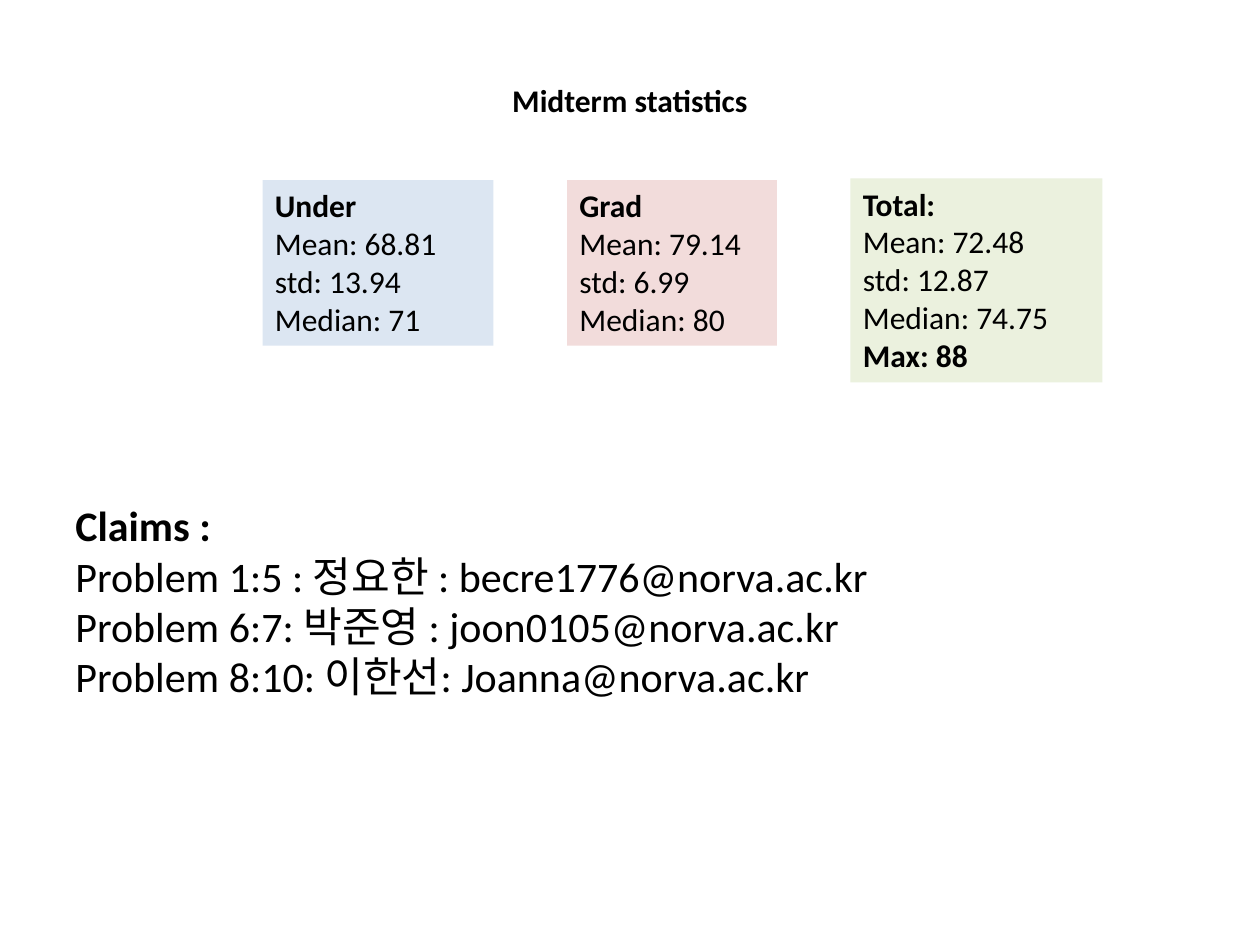
from pptx import Presentation
from pptx import util as u
from pptx.dml import color
from pptx.enum import shapes, text

HUES = {
    "ink": "000000",
    "blue": "DCE6F2",
    "rose": "F2DCDB",
    "green": "EBF1DE",
}

STATS = [
    ((150, 103, 132, 94.5), "blue",
     ["Under", "Mean: 68.81", "std: 13.94", "Median: 71"], {0}),
    ((324, 103, 120, 94.5), "rose",
     ["Grad", "Mean: 79.14", "std: 6.99", "Median: 80"], {0}),
    ((486, 102, 144, 116.5), "green",
     ["Total:", "Mean: 72.48", "std: 12.87", "Median: 74.75", "Max: 88"], {0, 4}),
]

CLAIMS = [
    "Claims :",
    "Problem 1:5 : 정요한 : becre1776@norva.ac.kr",
    "Problem 6:7: 박준영 : joon0105@norva.ac.kr",
    "Problem 8:10: 이한선: Joanna@norva.ac.kr",
]


def hue(name):
    return color.RGBColor.from_string(HUES[name])


def write(shape, lines, size, bold, align=text.PP_ALIGN.LEFT):
    frame = shape.text_frame
    frame.word_wrap = True
    frame.auto_size = text.MSO_AUTO_SIZE.SHAPE_TO_FIT_TEXT
    frame.vertical_anchor = text.MSO_ANCHOR.TOP
    for i, line in enumerate(lines):
        para = frame.paragraphs[0] if i == 0 else frame.add_paragraph()
        para.alignment = align
        run = para.add_run()
        run.text = line
        run.font.name = "Calibri"
        run.font.size = u.Pt(size)
        run.font.bold = i in bold
        run.font.color.rgb = hue("ink")


def add_card(slide, area, fill, lines, bold):
    card = slide.shapes.add_shape(
        shapes.MSO_SHAPE.RECTANGLE, *map(u.Pt, area))
    card.shadow.inherit = False
    card.fill.solid()
    card.fill.fore_color.rgb = hue(fill)
    card.line.fill.background()
    write(card, lines, 18, bold)


def add_text(slide, area, lines, size, align=text.PP_ALIGN.LEFT):
    box = slide.shapes.add_textbox(*map(u.Pt, area))
    write(box, lines, size, {0}, align)


def main():
    deck = Presentation()
    deck.slide_width, deck.slide_height = u.Pt(720), u.Pt(540)
    slide = deck.slides.add_slide(deck.slide_layouts[6])
    for stat in STATS:
        add_card(slide, *stat)
    add_text(slide, (0, 42.5, 720, 29), ["Midterm statistics"], 18,
             text.PP_ALIGN.CENTER)
    add_text(slide, (36, 282, 558, 124), CLAIMS, 24)
    deck.save("out.pptx")


if __name__ == "__main__":
    main()
